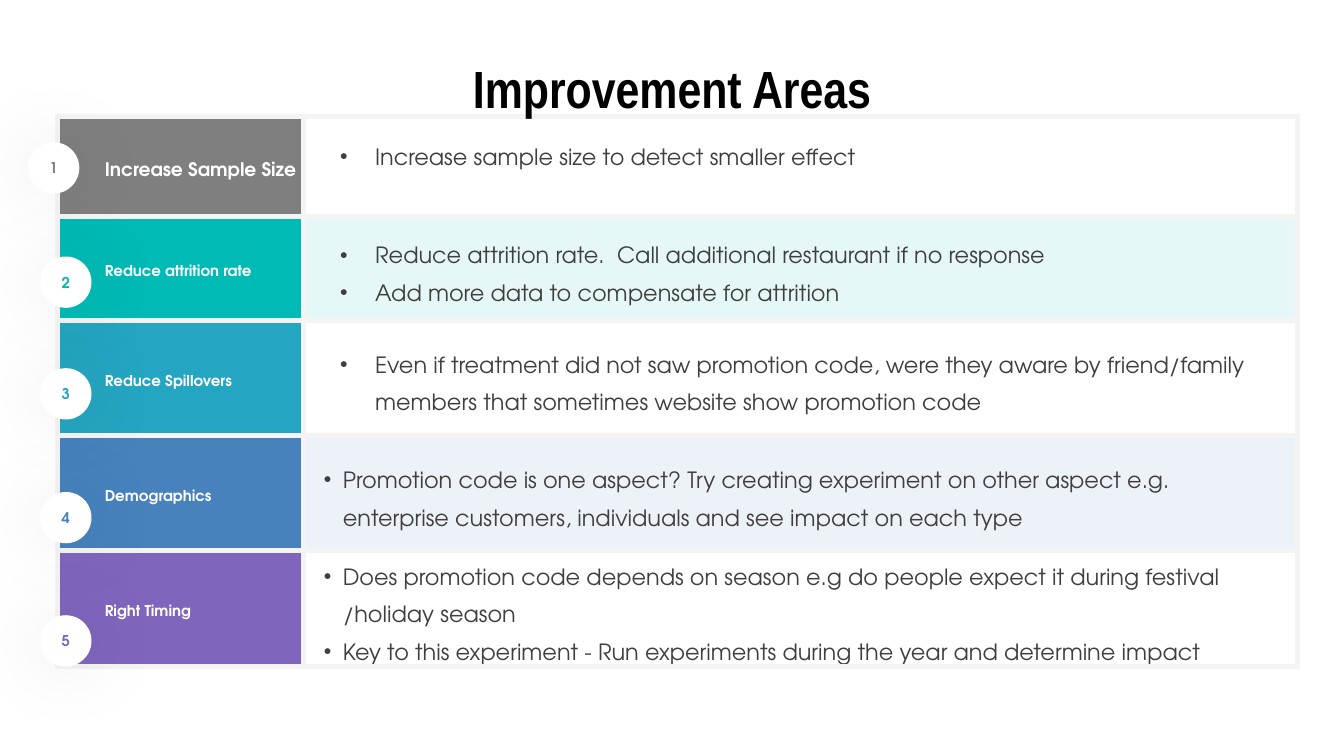
from lxml.etree import SubElement
from pptx import Presentation
from pptx.dml.color import RGBColor
from pptx.enum.shapes import MSO_SHAPE as Shape
from pptx.enum.text import MSO_ANCHOR as Anchor, PP_ALIGN as Align
from pptx.oxml.ns import qn
from pptx.util import Cm, Pt

# Content: label, label size, colour, tinted row, text indent, bullet indent, bullets
TITLE = "Improvement Areas"
WIDE, NARROW = (0.97, -0.66), (0.36, -0.46)
AREAS = [
    ("Increase Sample Size", 10, "7F7F7F", False, WIDE,
     ["Increase sample size to detect smaller effect"]),
    ("Reduce attrition rate", 8, "00BAB5", True, WIDE,
     ["Reduce attrition rate.  Call additional restaurant if no response",
      "Add more data to compensate for attrition"]),
    ("Reduce Spillovers", 8, "24A5C1", False, WIDE,
     ["Even if treatment did not saw promotion code, were they aware by friend/family "
      "members that sometimes website show promotion code"]),
    ("Demographics", 8, "4782BD", True, NARROW,
     ["Promotion code is one aspect? Try creating experiment on other aspect e.g. "
      "enterprise customers, individuals and see impact on each type"]),
    ("Right Timing", 8, "7F65BC", False, NARROW,
     ["Does promotion code depends on season e.g do people expect it during festival "
      "/holiday season",
      "Key to this experiment - Run experiments during the year and determine impact"]),
]

# Layout in centimetres
COLUMNS = [4.65, 2.64] + [3.23] * 5
ROWS = [1.88, 1.96] + [2.18] * 3
TABLE_LEFT, TABLE_TOP = 1.09, 2.21
BADGE = 0.97
BADGES = [(0.53, 2.69), (0.76, 4.85), (0.76, 6.96), (0.76, 9.3), (0.76, 11.63)]
FONT, TEXT, BORDER = "TeX Gyre Adventor", "3F3F3F", "F4F4F4"


def rgb(value):
    return RGBColor.from_string(value)


def add_color(parent, value, alpha=None):
    color = SubElement(parent, qn("a:srgbClr"), val=value)
    if alpha is not None:
        SubElement(color, qn("a:alpha"), val=str(alpha * 1000))


def style(paragraph, size, color, bold=False, name=FONT):
    font = paragraph.font
    font.name, font.size, font.bold = name, Pt(size), bold
    font.color.rgb = rgb(color)


def set_margins(target, left, top, right, bottom):
    target.margin_left, target.margin_top = Cm(left), Cm(top)
    target.margin_right, target.margin_bottom = Cm(right), Cm(bottom)


def fill_cell(cell, color, alpha=None):
    cell.fill.solid()
    cell.fill.fore_color.rgb = rgb(color)
    properties = cell._tc.tcPr
    if alpha is not None:
        SubElement(properties.find(".//" + qn("a:srgbClr")), qn("a:alpha"),
                   val=str(alpha * 1000))
    for position, side in enumerate(("lnL", "lnR", "lnT", "lnB")):
        line = SubElement(properties, qn("a:" + side), w=str(Pt(3)))
        add_color(SubElement(line, qn("a:solidFill")), BORDER)
        properties.insert(position, line)


def add_bullet(paragraph, indents):
    properties = paragraph._p.get_or_add_pPr()
    margin, indent = indents
    properties.set("marL", str(Cm(margin)))
    properties.set("indent", str(Cm(indent)))
    add_color(SubElement(properties, qn("a:buClr")), TEXT)
    SubElement(properties, qn("a:buChar"), char="•")


presentation = Presentation()
presentation.slide_width, presentation.slide_height = Cm(25.4), Cm(14.29)
slide = presentation.slides.add_slide(presentation.slide_layouts[6])

# Table of areas
table = slide.shapes.add_table(len(ROWS), len(COLUMNS), Cm(TABLE_LEFT), Cm(TABLE_TOP),
                               Cm(sum(COLUMNS)), Cm(sum(ROWS))).table
table.first_row = table.horz_banding = False
for column, width in zip(table.columns, COLUMNS):
    column.width = Cm(width)
for row, height in zip(table.rows, ROWS):
    row.height = Cm(height)

for index, (label, size, color, tinted, indents, bullets) in enumerate(AREAS):
    for column in range(len(COLUMNS)):
        cell = table.cell(index, column)
        cell.vertical_anchor = Anchor.MIDDLE
        if column == 0:
            fill_cell(cell, color)
        elif tinted:
            fill_cell(cell, color, 10)
        else:
            fill_cell(cell, "FFFFFF")

    heading = table.cell(index, 0)
    set_margins(heading, 0.89, 0, 0, 0)
    heading.text = label
    paragraph = heading.text_frame.paragraphs[0]
    paragraph.line_spacing = 1.6
    style(paragraph, size, "FFFFFF", True)

    details = table.cell(index, 1)
    details.merge(table.cell(index, len(COLUMNS) - 1))
    # The first row's text sits above the middle
    set_margins(details, 0.38, 0, 0.38, 0.6 if index == 0 else 0)
    details.text = "\n".join(bullets)
    for paragraph in details.text_frame.paragraphs:
        paragraph.line_spacing = 1.8
        add_bullet(paragraph, indents)
        style(paragraph, 12, TEXT)

# Numbered badges
for number, ((left, top), area) in enumerate(zip(BADGES, AREAS), 1):
    badge = slide.shapes.add_shape(Shape.OVAL, Cm(left), Cm(top), Cm(BADGE), Cm(BADGE))
    badge.fill.solid()
    badge.fill.fore_color.rgb = rgb("FFFFFF")
    badge.line.fill.background()
    badge.shadow.inherit = False
    effects = badge._element.spPr.find(qn("a:effectLst"))
    shadow = SubElement(effects, qn("a:outerShdw"), blurRad=str(Pt(40)), dist="0",
                        algn="ctr", rotWithShape="0")
    add_color(shadow, "000000", 10)
    frame = badge.text_frame
    set_margins(frame, 0.18, 0.1, 0.18, 0.1)
    frame.vertical_anchor = Anchor.MIDDLE
    frame.text = str(number)
    frame.paragraphs[0].alignment = Align.CENTER
    style(frame.paragraphs[0], 8, area[2], True)

# Title
frame = slide.shapes.add_textbox(Cm(1.27), Cm(1.14), Cm(22.86), Cm(1.04)).text_frame
frame.word_wrap = True
frame.vertical_anchor = Anchor.MIDDLE
set_margins(frame, 0.25, 0.25, 0.25, 0.25)
frame.text = TITLE
frame.paragraphs[0].alignment = Align.CENTER
style(frame.paragraphs[0], 28, "000000", True, "Arial Narrow")

presentation.save("out.pptx")
